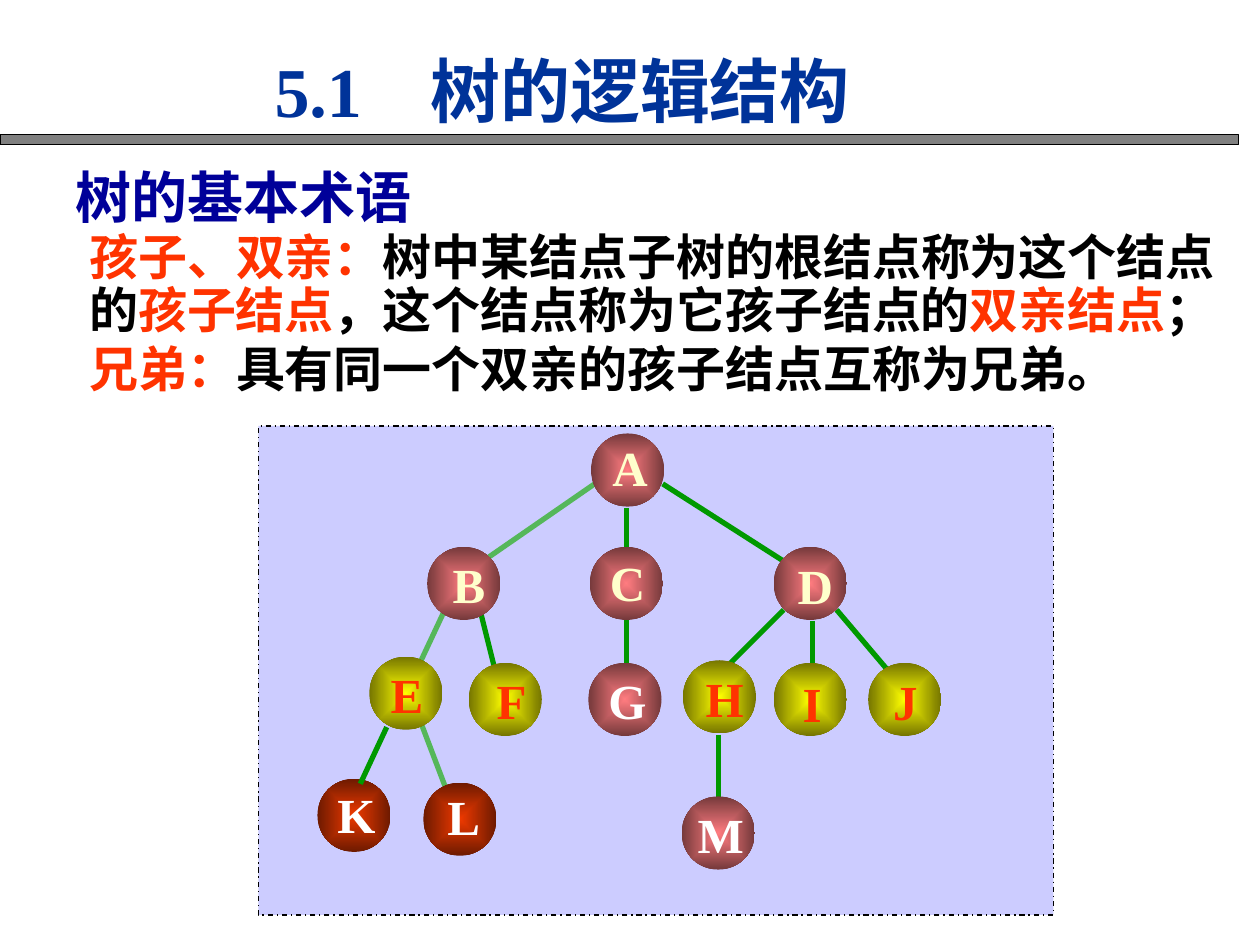
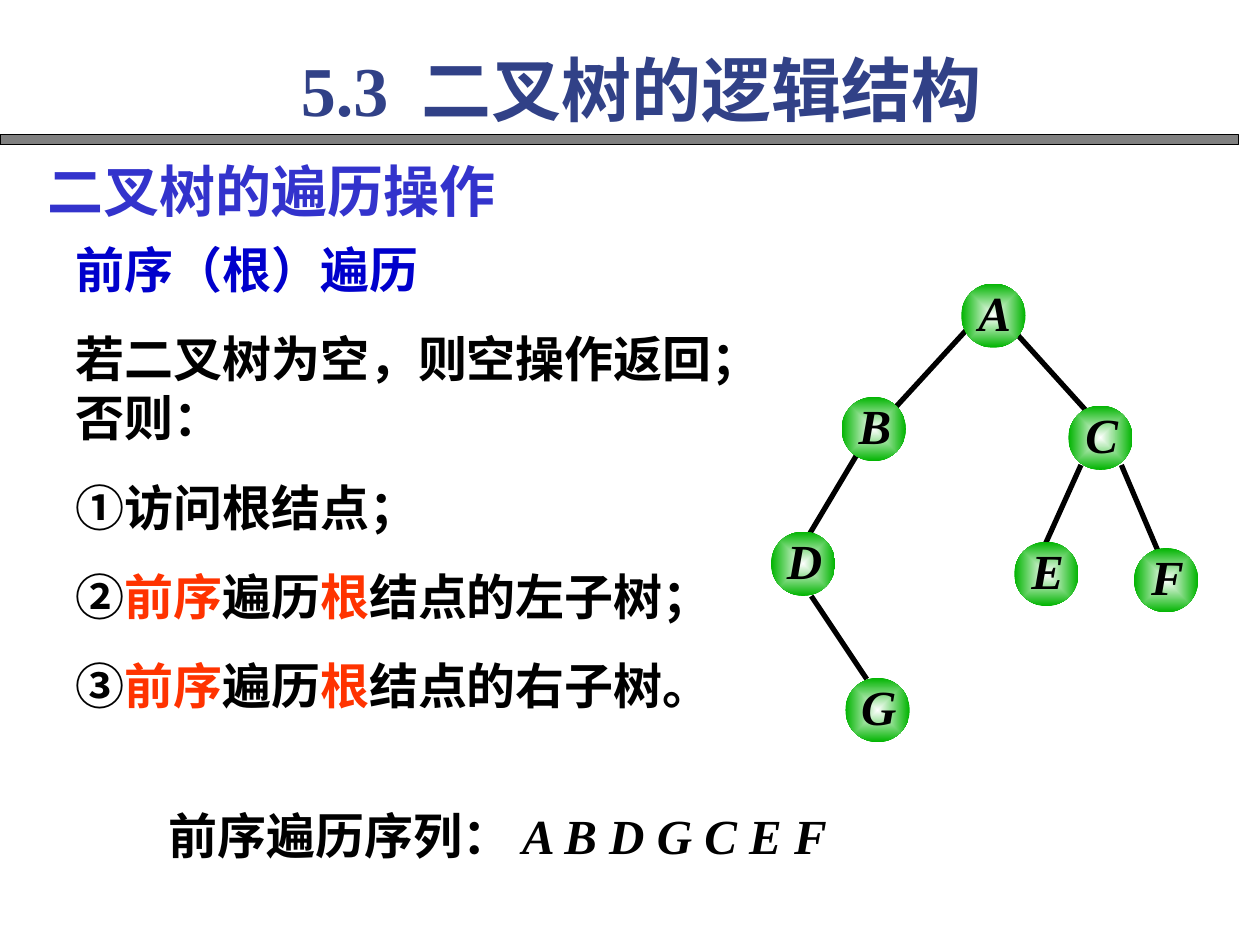
from lxml.etree import SubElement
from pptx import Presentation
from pptx.dml.color import RGBColor
from pptx.enum.dml import MSO_LINE
from pptx.enum.shapes import MSO_CONNECTOR, MSO_SHAPE
from pptx.enum.text import MSO_ANCHOR, PP_ALIGN
from pptx.oxml import parse_xml
from pptx.oxml.ns import nsdecls, qn
from pptx.util import Pt

SERIF = "Times New Roman"
CHINESE = "Noto Sans CJK SC"
BLACK = "000000"
RED = "FF3300"
GREEN = "009900"
PALE_GREEN = "55B75A"
CREAM = "FFFFCC"
WHITE = "FFFFFF"

ROSE = ("FF7C80", "75393B")
YELLOW = ("FFFF00", "757500")
RUST = ("EE3900", "6D1A00")
LEAF = ("FFFFFF", "00B400")

FAMILY_NODES = [
    ("A", 190.1, 4.3, 1.4, -1.8, ROSE, CREAM),
    ("B", 96.5, 69.1, 2.9, 0, ROSE, CREAM),
    ("C", 189.4, 69.1, 0.7, -1, ROSE, CREAM),
    ("D", 294.5, 69.1, 2.9, 1, ROSE, CREAM),
    ("E", 63.4, 131.8, 0.7, 0.4, YELLOW, RED),
    ("F", 120.2, 135.4, 3.6, 0.4, YELLOW, RED),
    ("G", 188.6, 135.4, 1.4, 0.4, ROSE, WHITE),
    ("H", 242.6, 133.9, 2.9, 0.4, YELLOW, RED),
    ("I", 294.5, 135.4, 1, 1.8, YELLOW, RED),
    ("J", 348.5, 135.4, 0.4, 1, YELLOW, RED),
    ("K", 33.8, 201.6, 1.4, -1, RUST, WHITE),
    ("L", 94.3, 203.8, 2.2, -1.8, RUST, WHITE),
    ("M", 241.9, 211.7, 1.4, 0.4, ROSE, WHITE),
]
FAMILY_EDGES = [
    (330.5, 105.1, 366.5, 147.6, GREEN),
    (300.2, 105.1, 264.2, 141.1, GREEN),
    (316.8, 111.6, 316.8, 141.1, GREEN),
    (262.8, 176.4, 262.8, 212.4, GREEN),
    (231.1, 33.1, 306.7, 81.4, GREEN),
    (192.2, 33.1, 131.8, 74.9, PALE_GREEN),
    (210.2, 46.8, 210.2, 177.1, GREEN),
    (126.7, 105.1, 137.5, 148.3, GREEN),
    (93.6, 171.4, 107.3, 207.4, PALE_GREEN),
    (106.6, 105.1, 91.4, 137.5, PALE_GREEN),
]
EDGE_OVER_K = (73.4, 172.1, 58.3, 204.5, GREEN)

BINARY_NODES = [
    ("A", 108.7, 0),
    ("B", 40.3, 64.8),
    ("C", 169.9, 69.8),
    ("D", 0, 141.8),
    ("E", 139, 147.6),
    ("F", 207.4, 151.2),
    ("G", 42.5, 225.4),
]
BINARY_EDGES = [
    (111.6, 26.6, 71.3, 70.6),
    (140.4, 28.8, 180.7, 73.4),
    (49, 97.9, 22.3, 142.6),
    (23, 178.6, 54.7, 226.1),
    (177.1, 103.7, 157, 148.3),
    (200.2, 103.7, 221, 152.6),
]


def color(value):
    return RGBColor.from_string(value)


def add_span(para, text, size=28, ink=BLACK, font=SERIF, italic=False, shadow=False):
    span = para.add_run()
    span.text = text
    span.font.size = Pt(size)
    span.font.bold = True
    span.font.italic = italic
    span.font.color.rgb = color(ink)
    properties = span.font._element
    if shadow:
        effects = SubElement(properties, qn("a:effectLst"))
        cast = SubElement(effects, qn("a:outerShdw"), dist="25400", dir="2700000")
        SubElement(cast, qn("a:srgbClr"), val="808080")
    span.font.name = font
    SubElement(properties, qn("a:ea"), typeface=CHINESE)


def add_text(page, left, top, width, height, paragraphs, inset=7.2, wrap=True, tab=None,
             align=PP_ALIGN.LEFT, anchor=MSO_ANCHOR.TOP, spacing=1.0, gap=0, **style):
    box = page.shapes.add_textbox(Pt(left), Pt(top), Pt(width), Pt(height))
    frame = box.text_frame
    frame.word_wrap = wrap
    frame.vertical_anchor = anchor
    frame.margin_left = frame.margin_right = Pt(inset)
    for index, spans in enumerate(paragraphs):
        para = frame.add_paragraph() if index else frame.paragraphs[0]
        para.alignment = align
        para.line_spacing = spacing
        if index:
            para.space_before = Pt(gap)
        if tab:
            stops = SubElement(para._p.get_or_add_pPr(), qn("a:tabLst"))
            SubElement(stops, qn("a:tab"), pos=str(Pt(tab)), algn="l")
        for text, changes in spans:
            add_span(para, text, **{**style, **changes})
    return box


def add_rectangle(page, left, top, width, height, fill, dash=None):
    shape = page.shapes.add_shape(MSO_SHAPE.RECTANGLE, Pt(left), Pt(top), Pt(width), Pt(height))
    shape.shadow.inherit = False
    shape.fill.solid()
    shape.fill.fore_color.rgb = color(fill)
    shape.line.color.rgb = color(BLACK)
    shape.line.width = Pt(0.75)
    if dash:
        shape.line.dash_style = dash


def add_edge(page, left, top, start_x, start_y, end_x, end_y, ink=BLACK):
    edge = page.shapes.add_connector(
        MSO_CONNECTOR.STRAIGHT,
        Pt(left + start_x), Pt(top + start_y), Pt(left + end_x), Pt(top + end_y))
    edge.line.color.rgb = color(ink)
    edge.line.width = Pt(3)
    SubElement(edge._element.spPr, qn("a:effectLst"))


def add_node(page, left, top, size, letter, shift_x, shift_y, shades, **style):
    ball = page.shapes.add_shape(MSO_SHAPE.OVAL, Pt(left), Pt(top), Pt(size), Pt(size))
    ball.shadow.inherit = False
    ball.line.fill.background()
    inner, outer = shades
    gradient = parse_xml(
        f'<a:gradFill {nsdecls("a")} rotWithShape="1"><a:gsLst>'
        f'<a:gs pos="0"><a:srgbClr val="{inner}"/></a:gs>'
        f'<a:gs pos="100000"><a:srgbClr val="{outer}"/></a:gs></a:gsLst>'
        '<a:path path="rect"><a:fillToRect l="50000" t="50000" r="50000" b="50000"/></a:path>'
        '</a:gradFill>')
    ball._element.spPr.find(qn("a:prstGeom")).addnext(gradient)
    add_text(page, left + shift_x, top + shift_y, size, size, [[(letter, {})]], inset=0,
             wrap=False, align=PP_ALIGN.CENTER, anchor=MSO_ANCHOR.MIDDLE, **style)


def add_page(deck, title, left, top, tab, ink):
    page = deck.slides.add_slide(deck.slide_layouts[6])
    add_rectangle(page, 0, 77, 707.8, 5.8, "808080")
    add_text(page, left, top, 460, 55.4, [[(title, {})]], tab=tab, size=40, ink=ink)
    return page


def draw_family_tree(page, left, top, width, height):
    add_rectangle(page, left, top, width, height, "CCCCFF", MSO_LINE.DASH_DOT)
    for edge in FAMILY_EDGES:
        add_edge(page, left, top, *edge)
    for letter, x, y, shift_x, shift_y, shades, ink in FAMILY_NODES:
        add_node(page, left + x, top + y, 41.8, letter, shift_x, shift_y, shades, ink=ink)
    add_edge(page, left, top, *EDGE_OVER_K)


def draw_binary_tree(page, left, top):
    for edge in BINARY_EDGES:
        add_edge(page, left, top, *edge)
    for letter, x, y in BINARY_NODES:
        add_node(page, left + x, top + y, 36.7, letter, 0.7, -2.2, LEAF, italic=True)


def build_terms_page(deck):
    page = add_page(deck, "5.1\t树的逻辑结构", 149.8, 23.8, 89, "003399")
    add_text(page, 36, 89.3, 312, 46, [[("树的基本术语", {})]], size=32, ink="000099", font="Arial")
    red = {"ink": RED}
    definitions = [
        [("孩子、双亲：", red), ("树中某结点子树的根结点称为这个结点的", {}), ("孩子结点", red),
         ("，这个结点称为它孩子结点的", {}), ("双亲结点", red), ("；", {})],
        [("兄弟：", red), ("具有同一个双亲的孩子结点互称为兄弟。", {})],
    ]
    add_text(page, 43.9, 129.6, 668.2, 101.5, definitions, spacing=0.9, gap=3.5, font=CHINESE)
    draw_family_tree(page, 147.6, 243.4, 454.3, 279.4)


def build_traversal_page(deck):
    page = add_page(deck, "5.3\t二叉树的逻辑结构", 164.9, 23, 69, "314187")
    add_text(page, 20.2, 85.7, 426, 46, [[("二叉树的遍历操作", {})]],
             size=32, ink="3333CC", font=CHINESE, shadow=True)
    red = {"ink": RED}
    steps = [
        [("前序（根）遍历", {"ink": "0000CC", "font": CHINESE})],
        [("若二叉树为空，则空操作返回；否则：", {})],
        [("①访问根结点；", {})],
    ]
    for number, side in (("②", "左"), ("③", "右")):
        steps.append([(number, {}), ("前序", red), ("遍历", {}), ("根", red),
                      (f"结点的{side}子树；" if side == "左" else f"结点的{side}子树。", {})])
    add_text(page, 43.2, 133.2, 394, 279.4, steps, inset=0, gap=17.5)
    add_text(page, 89.3, 456.5, 403.2, 41,
             [[("前序遍历序列： ", {}), ("A B D G C E F", {"italic": True})]])
    draw_binary_tree(page, 440.6, 162)


def main():
    deck = Presentation()
    deck.slide_width = Pt(720)
    deck.slide_height = Pt(540)
    build_terms_page(deck)
    build_traversal_page(deck)
    deck.save("out.pptx")


if __name__ == "__main__":
    main()
